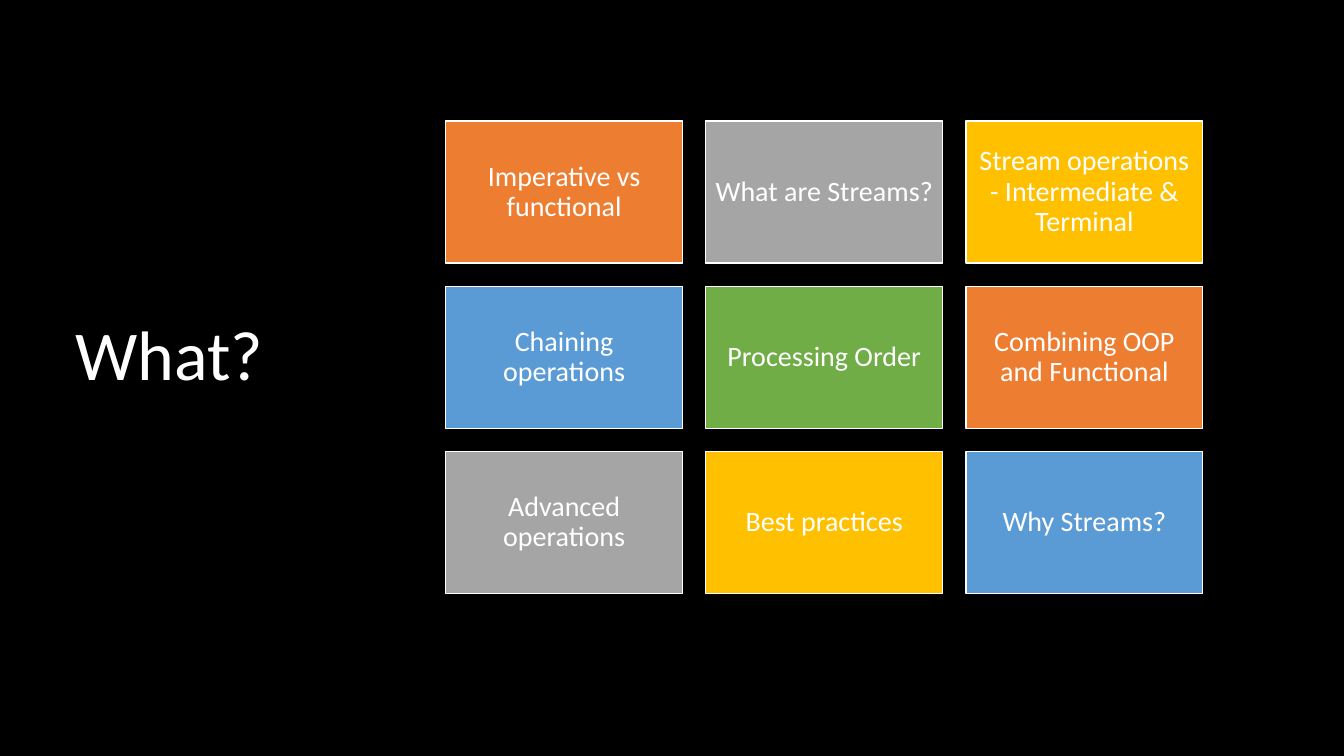
from itertools import cycle

from pptx import Presentation, util as u
from pptx.dml.color import RGBColor
from pptx.enum import shapes, text

TITLE = "What?"
TOPICS = [
    "Imperative vs functional", "What are Streams?",
    "Stream operations - Intermediate & Terminal",
    "Chaining operations", "Processing Order", "Combining OOP and Functional",
    "Advanced operations", "Best practices", "Why Streams?",
]

BLACK = RGBColor(0x00, 0x00, 0x00)
WHITE = RGBColor(0xFF, 0xFF, 0xFF)
ORANGE = RGBColor(0xED, 0x7D, 0x31)
GRAY = RGBColor(0xA5, 0xA5, 0xA5)
GOLD = RGBColor(0xFF, 0xC0, 0x00)
BLUE = RGBColor(0x5B, 0x9B, 0xD5)
GREEN = RGBColor(0x70, 0xAD, 0x47)
TILE_COLORS = [ORANGE, GRAY, GOLD, BLUE, GREEN]

COLUMNS = 3
GRID_LEFT, GRID_TOP = 4.42, 1.2
TILE_WIDTH, TILE_HEIGHT = 2.35, 1.41
GAP = 0.23
INSET = 0.08


def write(box, words, size, align):
    """Put white, vertically centred Calibri text into a shape."""
    frame = box.text_frame
    frame.text = words
    frame.word_wrap = True
    frame.auto_size = text.MSO_AUTO_SIZE.NONE
    frame.vertical_anchor = text.MSO_ANCHOR.MIDDLE
    para = frame.paragraphs[0]
    para.alignment = align
    para.line_spacing = 0.9
    font = para.runs[0].font
    font.name, font.size = "Calibri", u.Pt(size)
    font.color.rgb = WHITE


def add_title(page):
    """Place the title to the left of the tiles."""
    title = page.shapes.title
    title.left, title.top = u.Inches(0.65), u.Inches(1.32)
    title.width, title.height = u.Inches(4.24), u.Inches(4.45)
    write(title, TITLE, 50, text.PP_ALIGN.LEFT)


def add_tile(page, index, topic, color):
    """Draw one topic tile in its grid cell."""
    row, column = divmod(index, COLUMNS)
    tile = page.shapes.add_shape(
        shapes.MSO_SHAPE.RECTANGLE,
        u.Inches(GRID_LEFT + column * (TILE_WIDTH + GAP)),
        u.Inches(GRID_TOP + row * (TILE_HEIGHT + GAP)),
        u.Inches(TILE_WIDTH), u.Inches(TILE_HEIGHT))
    tile.shadow.inherit = False
    tile.fill.solid()
    tile.fill.fore_color.rgb = color
    tile.line.color.rgb = WHITE
    tile.line.width = u.Pt(1)
    frame = tile.text_frame
    frame.margin_left = frame.margin_right = u.Inches(INSET)
    frame.margin_top = frame.margin_bottom = u.Inches(INSET)
    write(tile, topic, 20, text.PP_ALIGN.CENTER)


deck = Presentation()
deck.slide_width, deck.slide_height = u.Inches(13.33), u.Inches(7.5)
page = deck.slides.add_slide(deck.slide_layouts.get_by_name("Title Only"))
page.background.fill.solid()
page.background.fill.fore_color.rgb = BLACK
add_title(page)
for index, (topic, color) in enumerate(zip(TOPICS, cycle(TILE_COLORS))):
    add_tile(page, index, topic, color)
deck.save("out.pptx")
